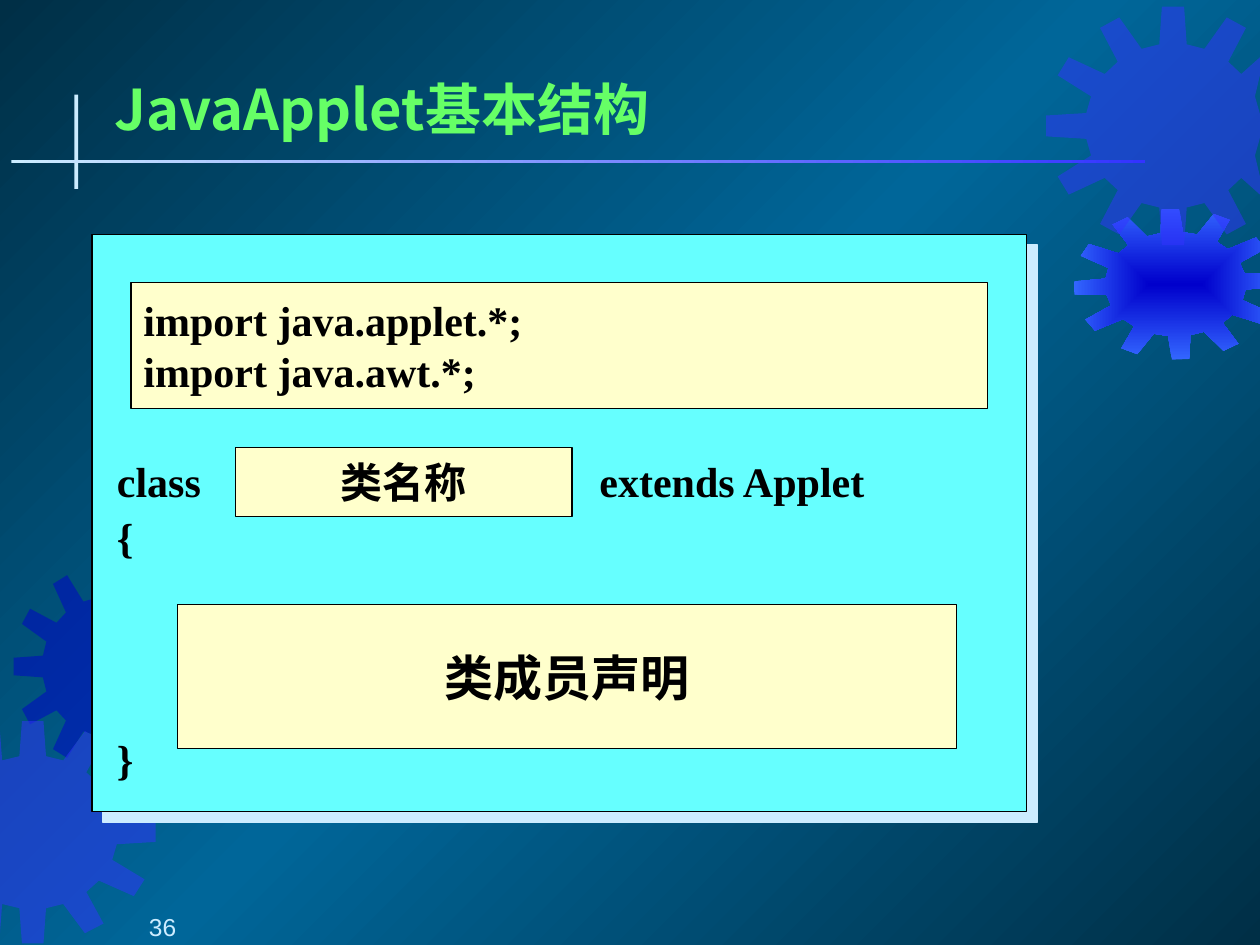
"""Build the applet structure slide with its gear backdrop."""
from dataclasses import dataclass
from math import cos, radians, sin

from lxml.etree import SubElement
from pptx import Presentation
from pptx.dml.color import RGBColor
from pptx.enum.shapes import MSO_SHAPE
from pptx.enum.text import MSO_ANCHOR, PP_ALIGN
from pptx.oxml.ns import qn
from pptx.util import Inches, Pt


@dataclass(frozen=True)
class Theme:
    night: str = "002F46"
    sea: str = "006699"
    navy: str = "0000CC"
    violet: str = "3333FF"
    azure: str = "3366FF"
    ice: str = "CCECFF"
    green: str = "66FF66"
    cyan: str = "66FFFF"
    cream: str = "FFFFCC"
    ink: str = "000000"
    sans: str = "Noto Sans CJK SC"
    serif: str = "Times New Roman"
    plain: str = "Arial"
    title: int = 32
    large: int = 28
    body: int = 24
    small: int = 14


def node(parent, tag, **attrs):
    return SubElement(parent, qn(tag), {k: str(v) for k, v in attrs.items()})


class Deck:
    cols, rows = 100, 75

    def __init__(self, prs, theme):
        self.prs, self.t = prs, theme
        self.s = prs.slides.add_slide(prs.slide_layouts[6])

    def x(self, cols):
        return round(self.prs.slide_width * cols / self.cols)

    def y(self, rows):
        return round(self.prs.slide_height * rows / self.rows)

    def place(self, left, top, width, height):
        return self.x(left), self.y(top), self.x(width), self.y(height)

    def gradient(self, owner, fill, stops, angle=None):
        fill.solid()
        old = owner.element.xpath(".//a:solidFill")[0]
        grad = node(old.getparent(), "a:gradFill", rotWithShape=1)
        old.getparent().replace(old, grad)
        gs_list = node(grad, "a:gsLst")
        for pos, color in stops:
            gs = node(gs_list, "a:gs", pos=pos * 1000)
            node(gs, "a:srgbClr", val=color)
        if angle is None:
            centre = node(grad, "a:path", path="rect")
            node(centre, "a:fillToRect", l=50000, t=50000, r=50000, b=50000)
        else:
            node(grad, "a:lin", ang=angle * 60000, scaled=0)

    def backdrop(self, *stops):
        self.gradient(self.s, self.s.background.fill, stops, 45)

    def paint(self, sp, color, line=None, alpha=None):
        sp.shadow.inherit = False
        sp.fill.solid()
        sp.fill.fore_color.rgb = RGBColor.from_string(color)
        if alpha:
            node(sp.element.xpath(".//a:solidFill/a:srgbClr")[0], "a:alpha", val=alpha * 1000)
        if line:
            sp.line.color.rgb = RGBColor.from_string(line)
            sp.line.width = Pt(0.75)
        else:
            sp.line.fill.background()

    def gear(self, cx, cy, rx, ry, color, phase=0, clip=True, alpha=None, teeth=12):
        points = []
        for tooth in range(teeth):
            for offset, radius in ((-9, 0.69), (-5, 1), (5, 1), (9, 0.69)):
                a = radians(phase + tooth * 360 / teeth + offset)
                px, py = cx + rx * radius * sin(a), cy - ry * radius * cos(a)
                if clip:
                    px = min(max(px, 0), self.cols)
                points.append((self.x(px), self.y(py)))
        builder = self.s.shapes.build_freeform(*points[0])
        builder.add_line_segments(points[1:], close=True)
        sp = builder.convert_to_shape()
        self.paint(sp, color, alpha=alpha)
        return sp

    def box(self, left, top, width, height, color, line=None):
        sp = self.s.shapes.add_shape(MSO_SHAPE.RECTANGLE, *self.place(left, top, width, height))
        self.paint(sp, color, line)
        return sp

    def drop_shadow(self, sp, color):
        effects = sp.element.spPr.find(qn("a:effectLst"))
        shadow = node(effects, "a:outerShdw", blurRad=0, dist=Pt(8.5), dir=45 * 60000,
                      algn="ctr", rotWithShape=0)
        node(shadow, "a:srgbClr", val=color)

    def text_box(self, left, top, width, height):
        return self.s.shapes.add_textbox(*self.place(left, top, width, height))

    def label(self, sp, lines, size, color, face, bold=True, align=PP_ALIGN.LEFT,
              tab=None, spacing=None, gaps=None, **frame):
        tf = sp.text_frame
        layout = {"word_wrap": True, "vertical_anchor": MSO_ANCHOR.MIDDLE,
                  "margin_left": self.x(1), "margin_right": self.x(1)}
        for name, value in {**layout, **frame}.items():
            setattr(tf, name, value)
        for i, line in enumerate(lines):
            p = tf.add_paragraph() if i else tf.paragraphs[0]
            form = {"alignment": align, "line_spacing": spacing, "space_before": (gaps or {}).get(i)}
            for name, value in form.items():
                setattr(p, name, value)
            if tab:
                tabs = node(p._p.get_or_add_pPr(), "a:tabLst")
                node(tabs, "a:tab", pos=self.x(tab), algn="l")
            r = p.add_run()
            r.text = line
            for name, value in {"size": Pt(size), "bold": bold, "name": face}.items():
                setattr(r.font, name, value)
            r.font.color.rgb = RGBColor.from_string(color)
            node(r._r.get_or_add_rPr(), "a:ea", typeface=self.t.sans)


def main():
    prs = Presentation()
    prs.slide_width, prs.slide_height = Inches(10), Inches(7.5)
    t = Theme()
    d = Deck(prs, t)
    d.backdrop((0, t.night), (50, t.sea), (100, t.night))

    d.gear(8.45, 52.9, 7.4, 8, t.navy, alpha=50)
    d.gear(2.6, 66.05, 9.8, 8.85, t.violet, alpha=50)
    hub = d.gear(93.3, 22.55, 8.1, 6, t.navy, phase=-3, clip=False)
    d.gradient(hub, hub.fill, ((0, t.navy), (100, t.azure)))
    d.gear(93.1, 10, 10.1, 9.5, t.violet, alpha=50)

    d.box(5.9, 7.5, 0.3, 7.5, t.ice)
    rule = d.box(0.9, 12.7, 90, 0.2, t.ice)
    d.gradient(rule, rule.fill, ((0, t.ice), (100, t.violet)), 0)
    d.label(d.text_box(8.7, 5.4, 88.4, 6.3), ["JavaApplet基本结构"], t.title, t.green, t.sans,
            margin_left=d.x(0.4), margin_right=d.x(0.4))

    panel = d.box(7.3, 18.6, 74.2, 45.8, t.cyan, t.ink)
    d.drop_shadow(panel, t.ice)
    d.label(d.box(10.4, 22.4, 68, 10, t.cream, t.ink),
            ["import java.applet.*;", "import java.awt.*;"], t.body, t.ink, t.serif)
    d.label(d.text_box(8.3, 35.3, 72.6, 27.4), ["class\textends Applet", "{", "}"],
            t.body, t.ink, t.serif, tab=38.3, spacing=Pt(31.7), gaps={2: Pt(95)},
            vertical_anchor=MSO_ANCHOR.TOP)
    d.label(d.box(18.7, 35.5, 26.7, 5.5, t.cream, t.ink), ["类名称"],
            t.body, t.ink, t.serif, align=PP_ALIGN.CENTER)
    d.label(d.box(14.1, 48, 61.8, 11.4, t.cream, t.ink), ["类成员声明"],
            t.large, t.ink, t.serif, align=PP_ALIGN.CENTER)

    d.label(d.text_box(0, 70.5, 20.8, 4.2), ["36"], t.small, t.ice, t.plain, bold=False,
            align=PP_ALIGN.CENTER, margin_left=d.x(6), margin_top=0, margin_bottom=0,
            vertical_anchor=MSO_ANCHOR.BOTTOM)
    prs.save("out.pptx")


if __name__ == "__main__":
    main()
